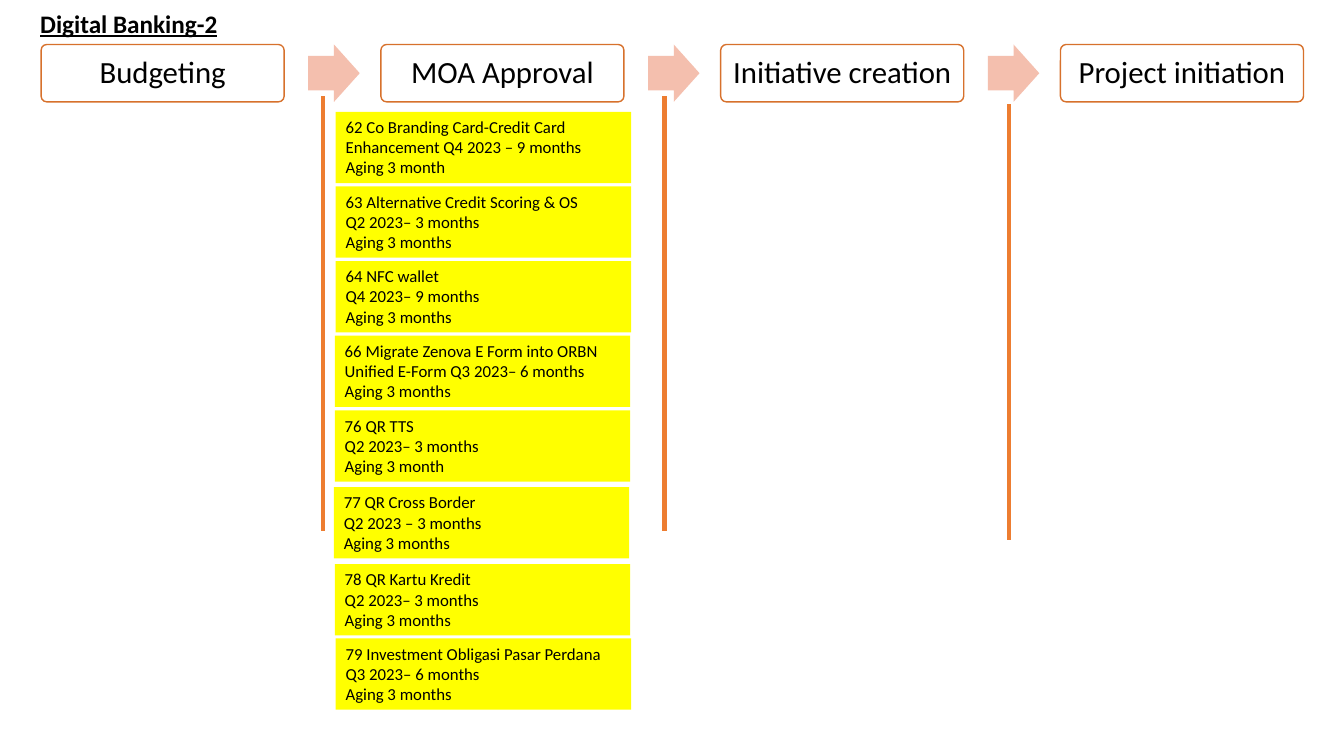
from lxml import etree
from pptx import Presentation
from pptx.dml.color import RGBColor
from pptx.enum import shapes, text
from pptx.oxml.ns import qn
from pptx.util import Pt

TITLE = "Digital Banking-2"
STAGES = ["Budgeting", "MOA Approval", "Initiative creation", "Project initiation"]
CARDS = [
    (239.8, 79.9, ["62 Co Branding Card-Credit Card Enhancement Q4 2023 – 9 months", "Aging 3 month"]),
    (239.8, 133.2, ["63 Alternative Credit Scoring & OS", "Q2 2023– 3 months", "Aging 3 months"]),
    (239.8, 186.5, ["64 NFC wallet", "Q4 2023– 9 months", "Aging 3 months"]),
    (239.2, 239.8, ["66 Migrate Zenova E Form into ORBN Unified E-Form Q3 2023– 6 months", "Aging 3 months"]),
    (239.2, 293.2, ["76 QR TTS", "Q2 2023– 3 months", "Aging 3 month"]),
    (238.5, 348, ["77 QR Cross Border", "Q2 2023 – 3 months", "Aging 3 months"]),
    (239.2, 403, ["78 QR Kartu Kredit", "Q2 2023– 3 months", "Aging 3 months"]),
    (239.8, 456, ["79 Investment Obligasi Pasar Perdana", "Q3 2023– 6 months", "Aging 3 months"]),
]
DIVIDERS = [(230.6, 68.6), (474.6, 68.6), (720.6, 74.6)]

BLACK = RGBColor(0, 0, 0)
WHITE = RGBColor(255, 255, 255)
YELLOW = RGBColor(255, 255, 0)
PEACH = RGBColor(0xF4, 0xBF, 0xAE)
RUST = RGBColor(0xD7, 0x71, 0x2C)
ORANGE = RGBColor(0xED, 0x7D, 0x31)

STAGE_X, STAGE_Y, STAGE_W, STAGE_H = 29.4, 31.8, 173.6, 41
STAGE_PITCH, ARROW_OFFSET, ARROW_W = 242.7, 190.8, 36.8
CARD_W, CARD_H = 211, 50.9
DIVIDER_H = 310.8

prs = Presentation()
prs.slide_width, prs.slide_height = Pt(960), Pt(540)
s = prs.slides.add_slide(prs.slide_layouts[6])


def add_box(kind, x, y, w, h, fill, line=None):
    sp = s.shapes.add_shape(kind, Pt(x), Pt(y), Pt(w), Pt(h))
    sp.shadow.inherit = False
    sp.fill.solid()
    sp.fill.fore_color.rgb = fill
    if line is None:
        sp.line.fill.background()
    else:
        sp.line.color.rgb = line
        sp.line.width = Pt(1)
    return sp


def write(sp, lines, size, align):
    tf = sp.text_frame
    tf.text = "\n".join(lines)
    for p in tf.paragraphs:
        p.alignment = align
        p.font.name = "Calibri"
        p.font.size = Pt(size)
        p.font.color.rgb = BLACK
    return tf


for i, stage in enumerate(STAGES):
    x = STAGE_X + i * STAGE_PITCH
    sp = add_box(shapes.MSO_SHAPE.ROUNDED_RECTANGLE, x, STAGE_Y, STAGE_W, STAGE_H, WHITE, RUST)
    sp.adjustments[0] = 0.1
    tf = write(sp, [stage], 22, text.PP_ALIGN.CENTER)
    tf.margin_left = tf.margin_right = Pt(6)
    tf.vertical_anchor = text.MSO_ANCHOR.MIDDLE
    tf.paragraphs[0].line_spacing = 0.9
    if i < len(STAGES) - 1:
        sp = add_box(shapes.MSO_SHAPE.RIGHT_ARROW, x + ARROW_OFFSET, STAGE_Y, ARROW_W, STAGE_H, PEACH)
        sp.adjustments[0] = 0.6
        sp.adjustments[1] = 0.5

for x, y in DIVIDERS:
    cx = s.shapes.add_connector(shapes.MSO_CONNECTOR.STRAIGHT, Pt(x), Pt(y), Pt(x), Pt(y + DIVIDER_H))
    cx.line.color.rgb = ORANGE
    cx.line.width = Pt(3)
    etree.SubElement(cx.element.spPr, qn("a:effectLst"))

sp = s.shapes.add_textbox(Pt(21.6), Pt(2.2), Pt(142.6), Pt(29))
tf = write(sp, [TITLE], 18, text.PP_ALIGN.LEFT)
tf.word_wrap = False
tf.auto_size = text.MSO_AUTO_SIZE.SHAPE_TO_FIT_TEXT
tf.paragraphs[0].font.bold = True
tf.paragraphs[0].font.underline = True

for x, y, lines in CARDS:
    sp = add_box(shapes.MSO_SHAPE.RECTANGLE, x, y, CARD_W, CARD_H, YELLOW)
    tf = write(sp, lines, 12, text.PP_ALIGN.LEFT)
    tf.vertical_anchor = text.MSO_ANCHOR.TOP
    tf.auto_size = text.MSO_AUTO_SIZE.SHAPE_TO_FIT_TEXT

prs.save("out.pptx")
